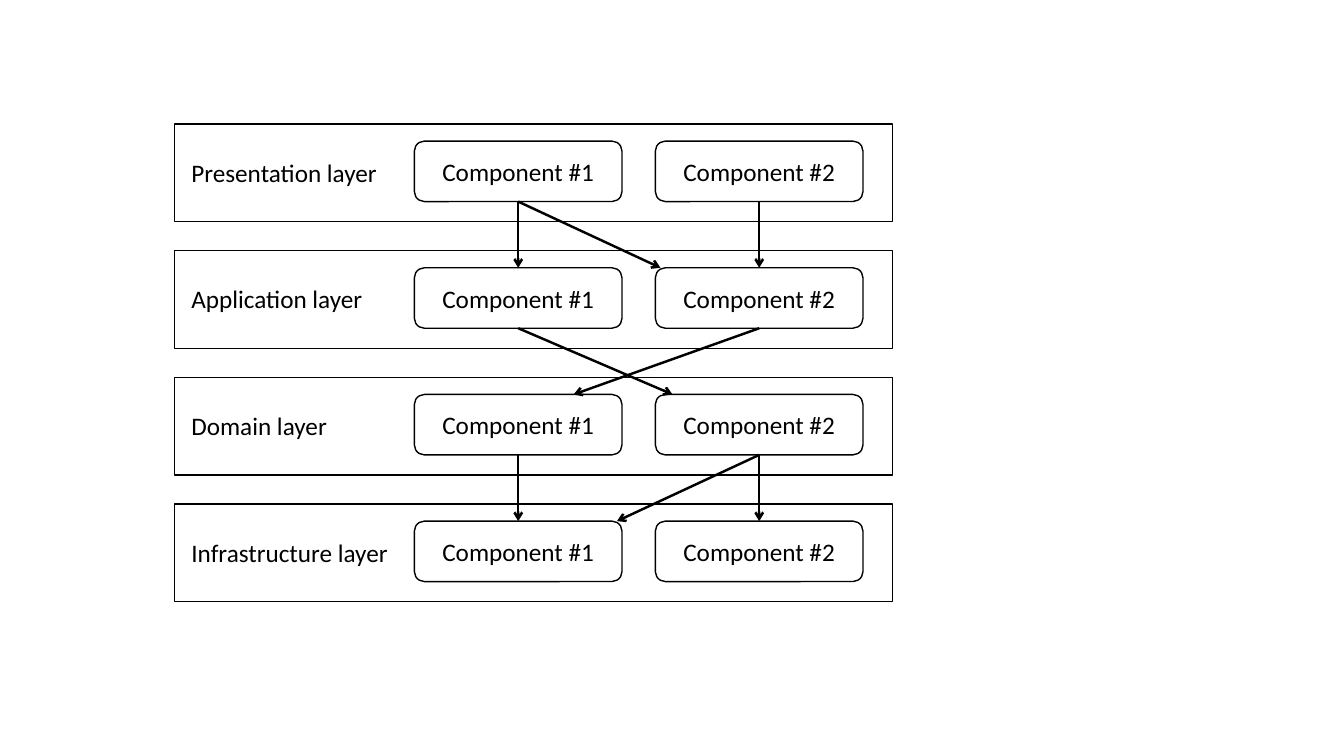
from lxml.etree import SubElement
from pptx import Presentation
from pptx.dml.color import RGBColor
from pptx.enum.shapes import MSO_CONNECTOR, MSO_SHAPE
from pptx.enum.text import MSO_ANCHOR, MSO_AUTO_SIZE, PP_ALIGN
from pptx.oxml.ns import qn
from pptx.util import Inches, Pt

BLACK, WHITE = "000000", "FFFFFF"

# Layer names with label widths
LAYERS = [("Presentation layer", 2.06), ("Application layer", 1.92),
          ("Domain layer", 1.56), ("Infrastructure layer", 2.17)]
LAYER_LEFT, LAYER_TOP, LAYER_W, LAYER_H = 1.73, 1.23, 7.12, 0.97
LAYER_STEP = (5 - LAYER_TOP) / 3
COMPONENT_LEFTS = [4.11, 6.5]
COMPONENT_W, COMPONENT_H, COMPONENT_DROP = 2.06, 0.6, 0.17

# Source layer, source component, target component, x of the arrow tip
# (None: the middle of the target's top edge)
CALLS = [(0, 0, 0, None), (0, 0, 1, 6.55), (0, 1, 1, None),
         (1, 1, 0, 5.69), (1, 0, 1, 6.67),
         (2, 0, 0, None), (2, 1, 1, None), (2, 1, 0, 6.12)]


def color(hex_string):
    return RGBColor.from_string(hex_string)


def set_text(sp, text, align, **frame_format):
    tf = sp.text_frame
    for name, value in frame_format.items():
        setattr(tf, name, value)
    p = tf.paragraphs[0]
    p.alignment = align
    r = p.add_run()
    r.text = text
    for name, value in {"name": "Calibri", "size": Pt(18)}.items():
        setattr(r.font, name, value)
    r.font.color.rgb = color(BLACK)


def set_fill(sp):
    sp.fill.solid()
    sp.fill.fore_color.rgb = color(WHITE)


def add_box(slide, kind, x, y, w, h):
    sp = slide.shapes.add_shape(kind, Inches(x), Inches(y), Inches(w), Inches(h))
    sp.shadow.inherit = False
    set_fill(sp)
    sp.line.color.rgb = color(BLACK)
    sp.line.width = Pt(1)
    return sp


def add_label(slide, text, x, y, w):
    sp = slide.shapes.add_textbox(Inches(x), Inches(y), Inches(w), Inches(0.4))
    set_fill(sp)
    set_text(sp, text, PP_ALIGN.LEFT, word_wrap=False,
             auto_size=MSO_AUTO_SIZE.SHAPE_TO_FIT_TEXT)


def add_component(slide, text, x, y):
    sp = add_box(slide, MSO_SHAPE.ROUNDED_RECTANGLE, x, y, COMPONENT_W, COMPONENT_H)
    set_text(sp, text, PP_ALIGN.CENTER, word_wrap=True,
             vertical_anchor=MSO_ANCHOR.MIDDLE)
    return sp


def add_layer(slide, name, label_w, y):
    add_box(slide, MSO_SHAPE.RECTANGLE, LAYER_LEFT, y, LAYER_W, LAYER_H)
    add_label(slide, name, LAYER_LEFT + 0.07, y + 0.28, label_w)
    return [add_component(slide, f"Component #{n}", x, y + COMPONENT_DROP)
            for n, x in enumerate(COMPONENT_LEFTS, 1)]


def add_arrow(slide, source, target, tip_x):
    start_x = source.left + source.width // 2
    end_x = start_x if tip_x is None else Inches(tip_x)
    line = slide.shapes.add_connector(MSO_CONNECTOR.STRAIGHT, start_x,
                                      source.top + source.height, end_x, target.top)
    line.begin_connect(source, 2)
    if tip_x is None:
        line.end_connect(target, 0)
    line.line.color.rgb = color(BLACK)
    line.line.width = Pt(1.75)
    # Open arrowhead, no shadow
    sp_pr = line.line._get_or_add_ln().getparent()
    SubElement(sp_pr.find(qn("a:ln")), qn("a:tailEnd"), type="arrow")
    SubElement(sp_pr, qn("a:effectLst"))


def main():
    prs = Presentation()
    prs.slide_width, prs.slide_height = Inches(13.33), Inches(7.5)
    slide = prs.slides.add_slide(prs.slide_layouts[6])

    # Layers with their components
    components = [add_layer(slide, name, w, LAYER_TOP + i * LAYER_STEP)
                  for i, (name, w) in enumerate(LAYERS)]

    # Calls from each layer to the one below
    for layer, source, target, tip_x in CALLS:
        add_arrow(slide, components[layer][source],
                  components[layer + 1][target], tip_x)

    prs.save("out.pptx")


main()
